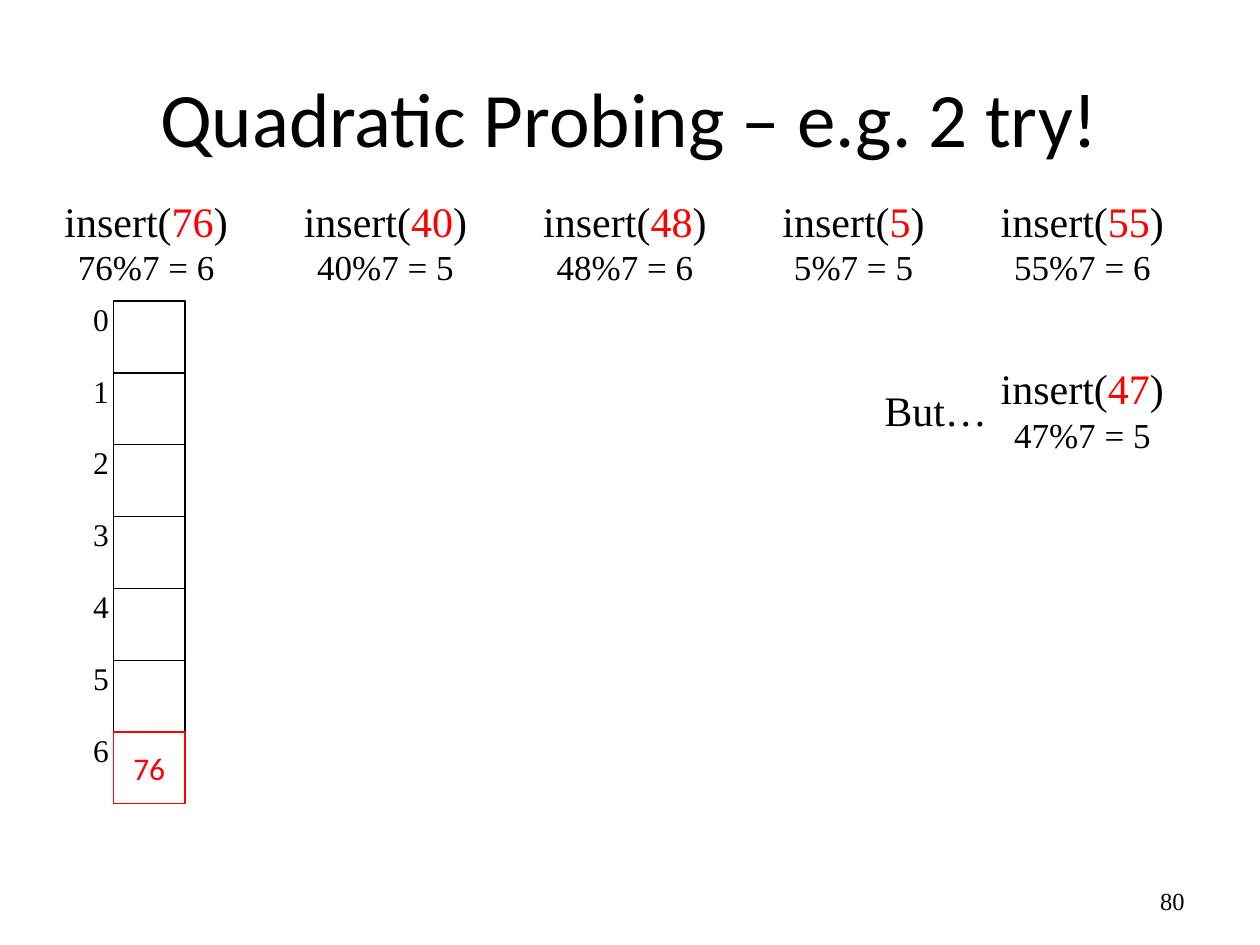
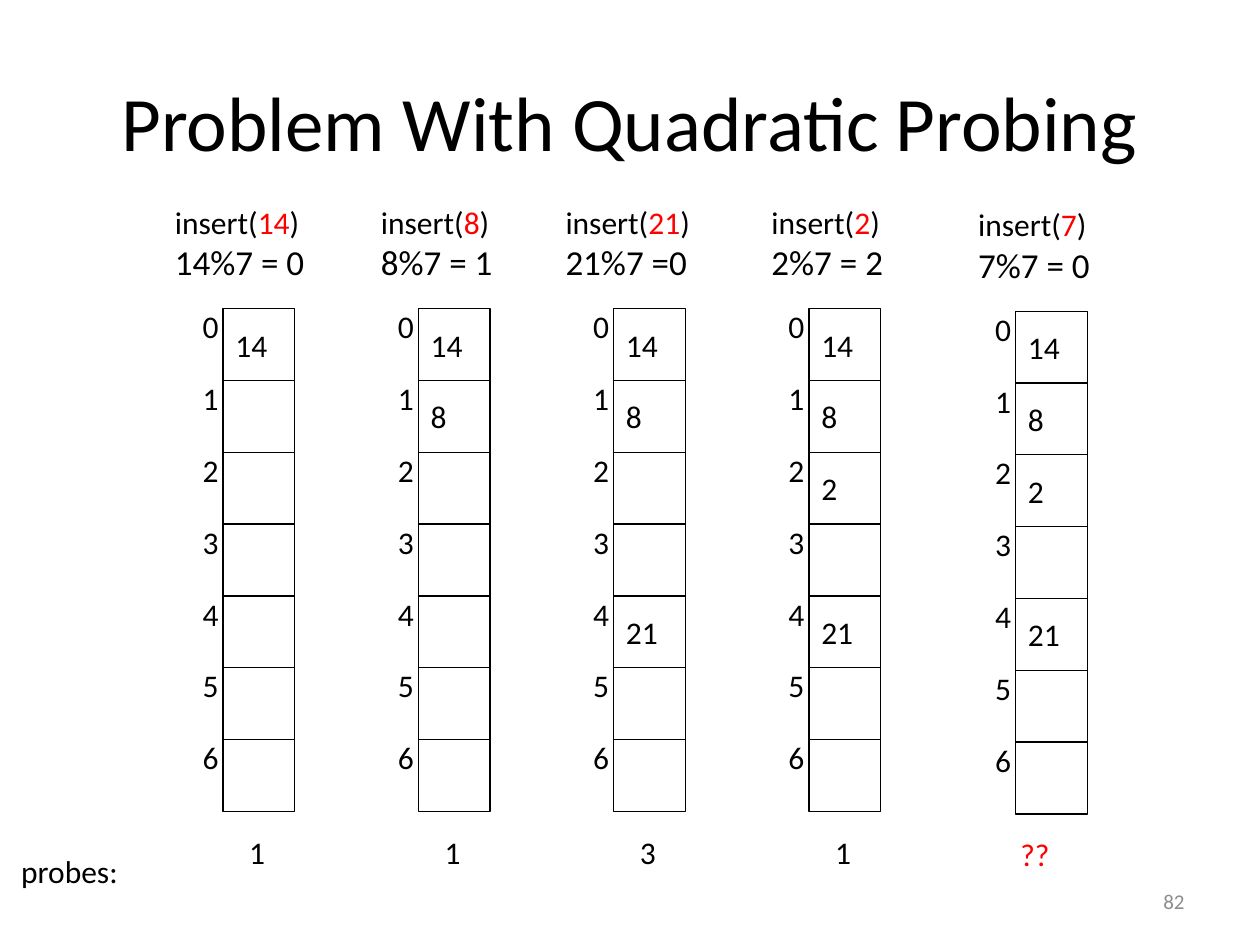
from pptx import Presentation
from pptx.dml.color import RGBColor
from pptx.enum import shapes, text
from pptx.util import Inches, Pt

COLORS = {"ink": "000000", "accent": "FF0000", "muted": "8C8C8C"}
SANS, SERIF = "Calibri", "Times New Roman"
LEFT, CENTER, RIGHT = (text.PP_ALIGN.LEFT, text.PP_ALIGN.CENTER,
                       text.PP_ALIGN.RIGHT)
FIXED = {"word_wrap": True, "vertical_anchor": text.MSO_ANCHOR.MIDDLE}
GROWING = {"word_wrap": False, "auto_size": text.MSO_AUTO_SIZE.SHAPE_TO_FIT_TEXT}
CELL_FRAME = {"word_wrap": False, "vertical_anchor": text.MSO_ANCHOR.MIDDLE}
CELL = 0.57
SLOTS = 7
INSERT_CENTER = 0.27  # centre of an insert heading, from the table's left edge


def rgb(name):
    return RGBColor.from_string(COLORS[name])


def write(sp, lines, frame, font=SANS, align=LEFT):
    """Fill a shape with lines, each a list of (text, size, colour) runs."""
    tf = sp.text_frame
    for name, value in frame.items():
        setattr(tf, name, value)
    for i, line in enumerate(lines):
        p = tf.add_paragraph() if i else tf.paragraphs[0]
        p.alignment = align
        for content, size, color in line:
            r = p.add_run()
            r.text = content
            for name, value in {"name": font, "size": Pt(size)}.items():
                setattr(r.font, name, value)
            r.font.color.rgb = rgb(color)


def add_text(s, box, content, size=18, color="ink", frame=GROWING, **style):
    sp = s.shapes.add_textbox(*map(Inches, box))
    write(sp, [[(content, size, color)]], frame, **style)


def add_title(s, box, title):
    add_text(s, box, title, 44, frame=FIXED, align=CENTER)


def add_page_number(s, number, **style):
    add_text(s, (7.17, 6.95, 2.33, 0.4), number, frame=FIXED, align=RIGHT, **style)


def insert_width(key):
    return 1.5 if key > 9 else 1.33


def add_insert(s, left, top, key, size, equals=" = ", **style):
    """Heading with the inserted key above its hash value."""
    sp = s.shapes.add_textbox(*map(Inches, (left, top, insert_width(key), 0.83)))
    call = [("insert(", size, "ink"), (str(key), size, "accent"), (")", size, "ink")]
    home = [(f"{key}%{SLOTS}{equals}{key % SLOTS}", 20, "ink")]
    write(sp, [call, home], GROWING, **style)


def add_cell(s, left, top, key, color, align):
    sp = s.shapes.add_shape(shapes.MSO_SHAPE.RECTANGLE,
                            *map(Inches, (left, top, CELL, CELL)))
    sp.shadow.inherit = False
    sp.fill.background()
    sp.line.color.rgb = rgb(color)
    sp.line.width = Pt(0.75)
    if key is not None:
        write(sp, [[(str(key), 18, color)]], CELL_FRAME, align=align)


def add_hash_table(s, left, top, keys, font=SANS, key_color="ink", align=LEFT):
    """Column of numbered slots; keys maps a slot to the key it holds."""
    for slot in range(SLOTS):
        y = top + slot * CELL
        key = keys.get(slot)
        add_cell(s, left, y, key, "ink" if key is None else key_color, align)
        add_text(s, (left - 0.26, y - 0.06, 0.33, 0.4), str(slot), font=font)


def add_probe_step(s, left, top, key, keys, probes, equals):
    """Insert heading, resulting table and probe count in one column."""
    add_insert(s, left + INSERT_CENTER - insert_width(key) / 2, top - 0.89,
               key, 18, equals)
    add_hash_table(s, left, top, keys)
    if probes is None:
        add_text(s, (left - 0.06, top + 4.11, 0.67, 0.5), "??", color="accent",
                 frame={"word_wrap": True})
    else:
        add_text(s, (left + 0.11, top + 4.11, 0.37, 0.5), str(probes))


def build_exercise(s):
    add_page_number(s, "80", size=14, font=SERIF)
    add_title(s, (0.5, 0.3, 9, 1.25), "Quadratic Probing – e.g. 2 try!")
    add_hash_table(s, 0.9, 2.39, {6: 76}, SERIF, "accent", CENTER)
    heading = {"size": 24, "font": SERIF, "align": CENTER}
    left = 0.41
    for key in (76, 40, 48, 5, 55):
        add_insert(s, left, 1.5, key, **heading)
        left += insert_width(key) + 0.4
    add_insert(s, 7.84, 2.83, 47, **heading)
    add_text(s, (6.92, 3, 1.02, 0.5), "But…", 24, font=SERIF)


def build_problem(s):
    add_page_number(s, "82", size=12, color="muted")
    add_title(s, (0.75, 0.33, 8.5, 1.25), "Problem With Quadratic Probing")
    add_text(s, (0.07, 6.71, 1.18, 0.5), "probes:")
    steps = [  # key, slot where it lands, probes, equals sign as written
        (14, 0, 1, " = "),
        (8, 1, 1, " = "),
        (21, 4, 3, " ="),
        (2, 2, 1, " = "),
        (7, None, None, " = "),
    ]
    keys = {}
    for i, (key, slot, probes, equals) in enumerate(steps):
        left, top = 1.77 + 1.55 * i, 2.45
        if slot is None:
            left, top = 8.06, 2.47
        else:
            keys[slot] = key
        add_probe_step(s, left, top, key, keys, probes, equals)


def main():
    prs = Presentation()
    prs.slide_width, prs.slide_height = Inches(10), Inches(7.5)
    for build in (build_exercise, build_problem):
        build(prs.slides.add_slide(prs.slide_layouts[6]))
    prs.save("out.pptx")


if __name__ == "__main__":
    main()
